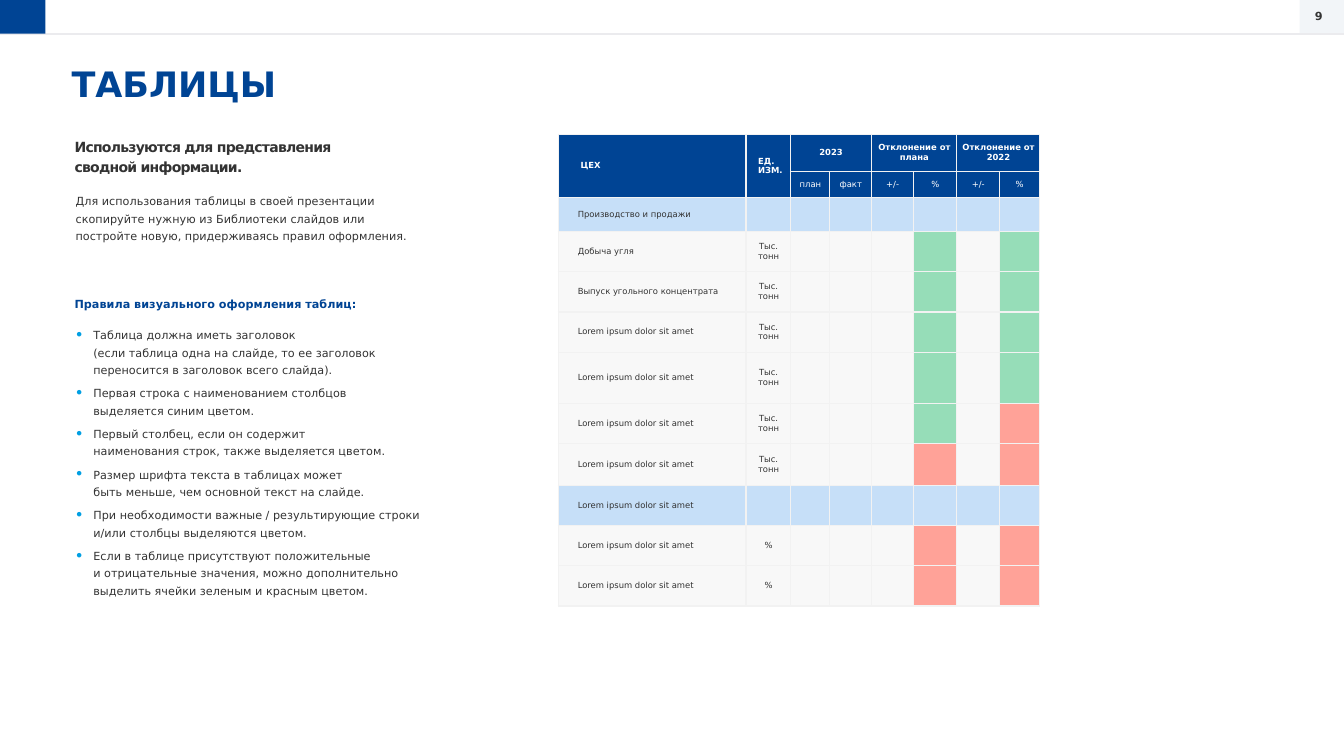
from dataclasses import dataclass

import lxml.etree
import pptx
import pptx.dml.color
import pptx.enum.shapes
import pptx.enum.text
import pptx.oxml
import pptx.oxml.ns
import pptx.util

RGBColor = pptx.dml.color.RGBColor
ALIGN = pptx.enum.text.PP_ALIGN
ANCHOR = pptx.enum.text.MSO_ANCHOR
qn = pptx.oxml.ns.qn

NAVY = RGBColor(0x00, 0x44, 0x94)
CYAN = RGBColor(0x00, 0x9F, 0xE3)
DARK = RGBColor(0x33, 0x33, 0x33)
WHITE = RGBColor(0xFF, 0xFF, 0xFF)
PALE = RGBColor(0xF2, 0xF5, 0xF8)
RULE = RGBColor(0xEB, 0xEB, 0xEE)
BORDER = RGBColor(0xF2, 0xF2, 0xF2)
SECTION = RGBColor(0xC6, 0xDF, 0xF8)
BODY = RGBColor(0xF8, 0xF8, 0xF8)
GREEN = RGBColor(0x96, 0xDD, 0xB8)
RED = RGBColor(0xFF, 0xA2, 0x98)

FONT = "DejaVu Sans"
SLIDE_WIDTH = pptx.util.Inches(13.33)
SLIDE_HEIGHT = pptx.util.Inches(7.5)


@dataclass(frozen=True)
class Box:
    """A place on the slide, in percent of its width and height."""
    left: float
    top: float
    width: float
    height: float

    def lengths(self) -> tuple[int, int, int, int]:
        return (across(self.left), down(self.top), across(self.width), down(self.height))


@dataclass(frozen=True)
class TextBlock:
    box: Box
    paragraphs: tuple[str, ...]
    style: dict


@dataclass(frozen=True)
class TableRow:
    label: str
    unit: str = ""
    plan_color: RGBColor = SECTION
    year_color: RGBColor = SECTION
    color: RGBColor = BODY


def across(share: float) -> int:
    return round(SLIDE_WIDTH * share / 100)


def down(share: float) -> int:
    return round(SLIDE_HEIGHT * share / 100)


def write_text(frame, paragraphs, *, size=8, color=DARK, bold=False, align=ALIGN.LEFT,
               line=None, before=0, tracking=0, bullet=False) -> None:
    for index, text in enumerate(paragraphs):
        paragraph = frame.add_paragraph() if index else frame.paragraphs[0]
        paragraph.text = text
        paragraph.alignment = align
        if line:
            paragraph.line_spacing = pptx.util.Pt(line)
        if index and before:
            paragraph.space_before = pptx.util.Pt(before)
        if bullet:
            add_bullet(paragraph)
        for run in paragraph.runs:
            run.font.name = FONT
            run.font.size = pptx.util.Pt(size)
            run.font.bold = bold
            run.font.color.rgb = color
            if tracking:
                run.font._element.set("spc", str(round(tracking * 100)))
        if not text:
            paragraph._p.get_or_add_endParaRPr().set("sz", str(size * 100))


def add_bullet(paragraph) -> None:
    properties = paragraph._p.get_or_add_pPr()
    indent = across(1.4)
    properties.set("marL", str(indent))
    properties.set("indent", str(-indent))
    color = lxml.etree.SubElement(properties, qn("a:buClr"))
    lxml.etree.SubElement(color, qn("a:srgbClr"), val=str(CYAN))
    lxml.etree.SubElement(properties, qn("a:buSzPct"), val="140000")
    lxml.etree.SubElement(properties, qn("a:buFont"), typeface=FONT)
    lxml.etree.SubElement(properties, qn("a:buChar"), char="•")


def add_text_block(slide, block: TextBlock) -> None:
    frame = slide.shapes.add_textbox(*block.box.lengths()).text_frame
    frame.word_wrap = True
    frame.margin_left = frame.margin_right = frame.margin_top = frame.margin_bottom = 0
    write_text(frame, block.paragraphs, **block.style)


def add_panel(slide, box: Box, color: RGBColor) -> None:
    shape = slide.shapes.add_shape(pptx.enum.shapes.MSO_SHAPE.RECTANGLE, *box.lengths())
    shape.shadow.inherit = False
    shape.fill.solid()
    shape.fill.fore_color.rgb = color
    shape.line.fill.background()


def add_header_rule(slide, top: float) -> None:
    rule = slide.shapes.add_connector(pptx.enum.shapes.MSO_CONNECTOR.STRAIGHT,
                                      0, down(top), across(100), down(top))
    rule.line.color.rgb = RULE
    rule.line.width = pptx.util.Pt(0.75)
    lxml.etree.SubElement(rule._element.spPr, qn("a:effectLst"))


def fill_cell(cell, text: str, fill: RGBColor, left=0.3, **style) -> None:
    cell.fill.solid()
    cell.fill.fore_color.rgb = fill
    cell.vertical_anchor = ANCHOR.MIDDLE
    cell.margin_left, cell.margin_right = across(left), across(0.25)
    cell.margin_top = cell.margin_bottom = down(0.27)
    write_text(cell.text_frame, [text], size=6, **style)
    properties = cell._tc.get_or_add_tcPr()
    for position, side in enumerate(("lnL", "lnR", "lnT", "lnB")):
        edge = lxml.etree.Element(qn(f"a:{side}"), w=str(pptx.util.Pt(1)))
        paint = lxml.etree.SubElement(edge, qn("a:solidFill"))
        lxml.etree.SubElement(paint, qn("a:srgbClr"), val=str(BORDER))
        properties.insert(position, edge)


# Table content; column and row sizes are percents of the slide
COLUMNS = (13.95, 3.3, 2.93, 3.08, 3.15, 3.23, 3.15, 3)
ROWS = (4.87, 3.47, 4.47, 5.33, 5.33, 5.33, 6.8, 5.33, 5.47, 5.33, 5.33, 5.33)
HEADER = (("ЦЕХ", "ЕД. ИЗМ.", "2023", "", "Отклонение от плана", "", "Отклонение от 2022", ""),
          ("", "", "план", "факт", "+/-", "%", "+/-", "%"))
MERGES = ((0, 0, 1, 0), (0, 1, 1, 1), (0, 2, 0, 3), (0, 4, 0, 5), (0, 6, 0, 7))
LOREM = "Lorem ipsum dolor sit amet"
TONS = "Тыс. тонн"
TABLE_ROWS = (
    TableRow("Производство и продажи", color=SECTION),
    TableRow("Добыча угля", TONS, GREEN, GREEN),
    TableRow("Выпуск угольного концентрата", TONS, GREEN, GREEN),
    TableRow(LOREM, TONS, GREEN, GREEN),
    TableRow(LOREM, TONS, GREEN, GREEN),
    TableRow(LOREM, TONS, GREEN, RED),
    TableRow(LOREM, TONS, RED, RED),
    TableRow(LOREM, color=SECTION),
    TableRow(LOREM, "%", RED, RED),
    TableRow(LOREM, "%", RED, RED),
)


def add_deviation_table(slide) -> None:
    box = Box(41.56, 17.8, sum(COLUMNS), sum(ROWS))
    table = slide.shapes.add_table(len(ROWS), len(COLUMNS), *box.lengths()).table
    table.first_row = table.horz_banding = False
    for column, share in zip(table.columns, COLUMNS):
        column.width = across(share)
    for row, share in zip(table.rows, ROWS):
        row.height = down(share)

    for row, labels in enumerate(HEADER):
        for column, label in enumerate(labels):
            fill_cell(table.cell(row, column), label, NAVY, color=WHITE, bold=row == 0,
                      left={0: 1.65, 1: 0.9}.get(column, 0.3),
                      align=ALIGN.LEFT if column < 2 else ALIGN.CENTER)
    for top, left, bottom, right in MERGES:
        table.cell(top, left).merge(table.cell(bottom, right))

    for row, item in enumerate(TABLE_ROWS, start=len(HEADER)):
        colors = [item.color] * 5 + [item.plan_color, item.color, item.year_color]
        texts = [item.label, item.unit] + [""] * 6
        for column, (text, color) in enumerate(zip(texts, colors)):
            fill_cell(table.cell(row, column), text, color, left=0.3 if column else 1.43,
                      align=ALIGN.CENTER if column else ALIGN.LEFT)


TEXT_BLOCKS = (
    TextBlock(Box(96.25, 1.2, 4.28 - 0.53, 2), ("9",), dict(bold=True, align=ALIGN.CENTER)),
    TextBlock(Box(5.33, 8, 72, 5.87), ("ТАБЛИЦЫ",),
              dict(size=25, color=NAVY, bold=True, line=31.7)),
    TextBlock(Box(5.55, 17.73, 31.66, 5.6),
              ("Используются для представления\nсводной информации.",),
              dict(size=10, bold=True, line=14.9, tracking=-0.5)),
    TextBlock(Box(5.63, 25.2, 25.96, 7.33),
              ("Для использования таблицы в своей презентации скопируйте нужную из Библиотеки "
               "слайдов или постройте новую, придерживаясь правил оформления.",),
              dict(line=12.5)),
    TextBlock(Box(5.55, 38.67, 28.88, 2.4), ("Правила визуального оформления таблиц:",),
              dict(color=NAVY, bold=True, line=13)),
    TextBlock(Box(5.55, 42.93, 28.88, 37.47), (
        "Таблица должна иметь заголовок\n(если таблица одна на слайде, то ее заголовок\n"
        "переносится в заголовок всего слайда).",
        "Первая строка с наименованием столбцов\nвыделяется синим цветом.",
        "Первый столбец, если он содержит\nнаименования строк, также выделяется цветом.",
        "Размер шрифта текста в таблицах может\nбыть меньше, чем основной текст на слайде.",
        "При необходимости важные / результирующие строки\nи/или столбцы выделяются цветом.",
        "Если в таблице присутствуют положительные\nи отрицательные значения, можно "
        "дополнительно\nвыделить ячейки зеленым и красным цветом.",
    ), dict(line=12.5, before=4, bullet=True)),
)


def main() -> None:
    presentation = pptx.Presentation()
    presentation.slide_width, presentation.slide_height = SLIDE_WIDTH, SLIDE_HEIGHT
    slide = presentation.slides.add_slide(presentation.slide_layouts[6])

    # Top strip
    add_panel(slide, Box(96.7, 0, 3.3, 4.5), PALE)
    add_header_rule(slide, 4.5)
    add_panel(slide, Box(0, 0, 3.37, 4.45), NAVY)

    # Texts and table
    for block in TEXT_BLOCKS:
        add_text_block(slide, block)
    add_deviation_table(slide)

    presentation.save("out.pptx")


if __name__ == "__main__":
    main()
